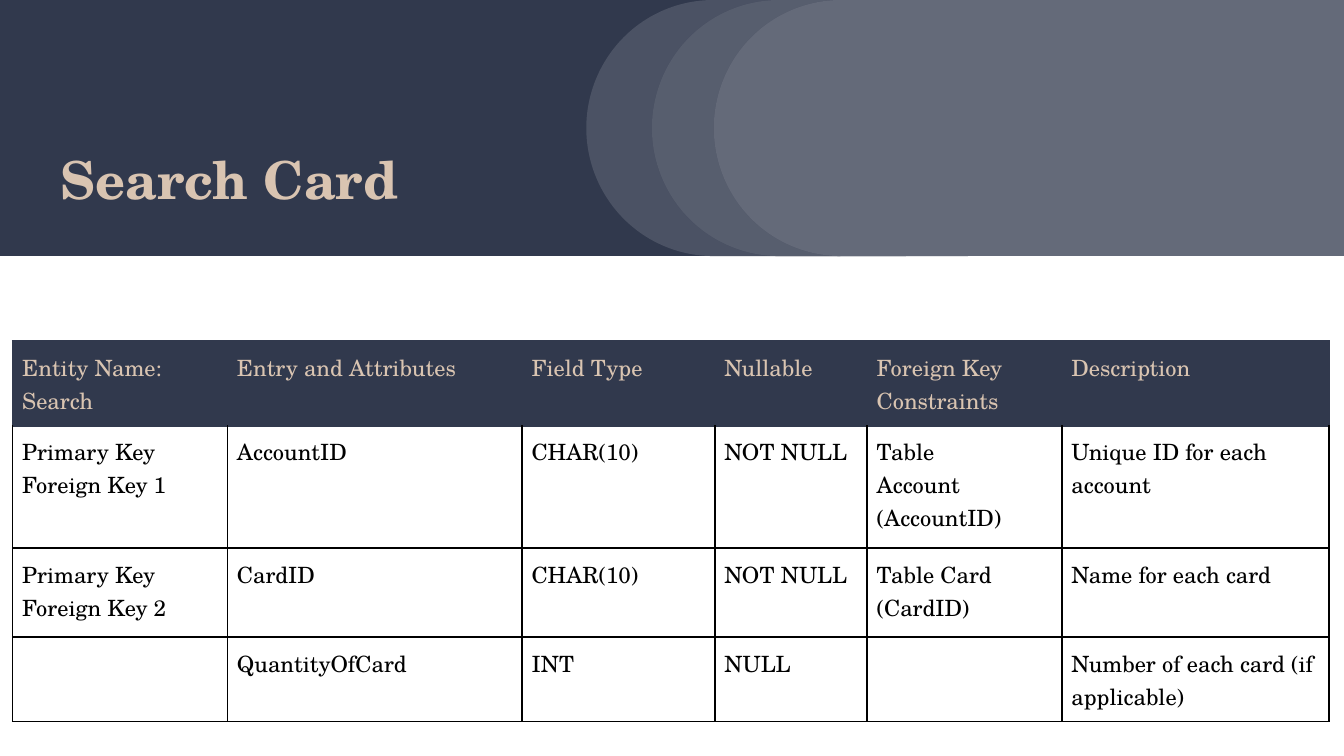
from dataclasses import dataclass
from typing import Optional

from lxml.etree import SubElement
from pptx import Presentation
from pptx.dml.color import RGBColor
from pptx.enum.shapes import MSO_SHAPE
from pptx.enum.text import MSO_ANCHOR, PP_ALIGN
from pptx.oxml.ns import qn
from pptx.util import Cm, Pt

NAVY = RGBColor(0x31, 0x39, 0x4D)
SAND = RGBColor(0xD9, 0xC4, 0xB1)
WHITE = RGBColor(0xFF, 0xFF, 0xFF)
BLACK = RGBColor(0x00, 0x00, 0x00)
FONT = "TeX Gyre Schola"
BANNER_HEIGHT = 4.84
ARC_WIDTH = 4.8


@dataclass
class Panel:
    preset: MSO_SHAPE
    left: float
    width: float
    color: RGBColor
    opacity: Optional[int] = None
    rotation: int = 0


@dataclass
class Arc:
    left: float
    opacity: int


@dataclass
class Column:
    width: float
    heading: str
    entries: tuple[str, str, str]


ARCS = [Arc(11.08, 13), Arc(12.32, 19), Arc(13.49, 25)]
ROW_HEIGHTS = [1.6, 2.31, 1.68, 1.6]
COLUMNS = [
    Column(4.06, "Entity Name: Search",
           ("Primary Key\nForeign Key 1", "Primary Key\nForeign Key 2", "")),
    Column(5.57, "Entry and Attributes", ("AccountID", "CardID", "QuantityOfCard")),
    Column(3.64, "Field Type", ("CHAR(10)", "CHAR(10)", "INT")),
    Column(2.88, "Nullable", ("NOT NULL", "NOT NULL", "NULL")),
    Column(3.68, "Foreign Key Constraints",
           ("Table\nAccount\n(AccountID)", "Table Card (CardID)", "")),
    Column(5.05, "Description",
           ("Unique ID for each account", "Name for each card",
            "Number of each card (if applicable)")),
]


def apply_format(target, values: dict) -> None:
    for name, value in values.items():
        setattr(target, name, value)


def margins(size: float) -> dict:
    return {f"margin_{side}": Cm(size) for side in ("left", "right", "top", "bottom")}


def write_text(frame, text: str, color: RGBColor, font: dict) -> None:
    frame.text = text
    for para in frame.paragraphs:
        apply_format(para, {"alignment": PP_ALIGN.LEFT, "line_spacing": 1.0})
        for span in para.runs:
            apply_format(span.font, {"name": FONT, **font})
            span.font.color.rgb = color


def draw_panel(page, panel: Panel) -> None:
    shape = page.shapes.add_shape(
        panel.preset, Cm(panel.left), Cm(0), Cm(panel.width), Cm(BANNER_HEIGHT))
    shape.rotation = panel.rotation
    shape.shadow.inherit = False
    shape.line.fill.background()
    shape.fill.solid()
    shape.fill.fore_color.rgb = panel.color
    if panel.opacity is not None:
        color = shape.fill._xPr.find(qn("a:solidFill"))[0]
        SubElement(color, qn("a:alpha"), val=str(panel.opacity * 1000))


def draw_banner(page) -> None:
    draw_panel(page, Panel(MSO_SHAPE.RECTANGLE, 0, 25.4, NAVY))
    draw_panel(page, Panel(MSO_SHAPE.RECTANGLE, 18.19, 7.21, WHITE, 25))
    for arc in ARCS:
        for color, opacity in ((NAVY, None), (WHITE, arc.opacity)):
            draw_panel(page, Panel(MSO_SHAPE.FLOWCHART_DELAY, arc.left, ARC_WIDTH,
                                   color, opacity, 180))


def draw_title(page, text: str) -> None:
    box = page.shapes.add_textbox(Cm(0.9), Cm(0.41), Cm(9.88), Cm(3.81))
    apply_format(box.text_frame, {
        "word_wrap": True, "vertical_anchor": MSO_ANCHOR.BOTTOM, **margins(0.25)})
    write_text(box.text_frame, text, SAND, {"size": Pt(28), "bold": True})


def set_borders(cell, colors: dict[str, RGBColor]) -> None:
    properties = cell._tc.get_or_add_tcPr()
    for side, color in colors.items():
        line = SubElement(properties, qn(f"a:ln{side}"), w=str(Pt(1)))
        fill = SubElement(line, qn("a:solidFill"))
        SubElement(fill, qn("a:srgbClr"), val=str(color))


def fill_cell(cell, text: str, row: int) -> None:
    is_heading = row == 0
    border = NAVY if is_heading else BLACK
    top = NAVY if row <= 1 else BLACK
    set_borders(cell, {"L": border, "R": border, "T": top, "B": border})
    apply_format(cell, {"vertical_anchor": MSO_ANCHOR.TOP, **margins(0.18)})
    if is_heading:
        cell.fill.solid()
        cell.fill.fore_color.rgb = NAVY
    else:
        cell.fill.background()
    write_text(cell.text_frame, text, SAND if is_heading else BLACK,
               {"size": Pt(12), "bold": False})


def draw_table(page) -> None:
    total_width = sum(column.width for column in COLUMNS)
    table = page.shapes.add_table(
        len(ROW_HEIGHTS), len(COLUMNS), Cm(0.24), Cm(6.45),
        Cm(total_width), Cm(sum(ROW_HEIGHTS))).table
    apply_format(table, {"first_row": False, "horz_banding": False})
    for row, height in enumerate(ROW_HEIGHTS):
        table.rows[row].height = Cm(height)
    for index, column in enumerate(COLUMNS):
        table.columns[index].width = Cm(column.width)
        for row, text in enumerate((column.heading, *column.entries)):
            fill_cell(table.cell(row, index), text, row)


def main() -> None:
    deck = Presentation()
    apply_format(deck, {"slide_width": Cm(25.4), "slide_height": Cm(14.29)})
    page = deck.slides.add_slide(deck.slide_layouts[6])
    draw_banner(page)
    draw_title(page, "Search Card")
    draw_table(page)
    deck.save("out.pptx")


if __name__ == "__main__":
    main()
